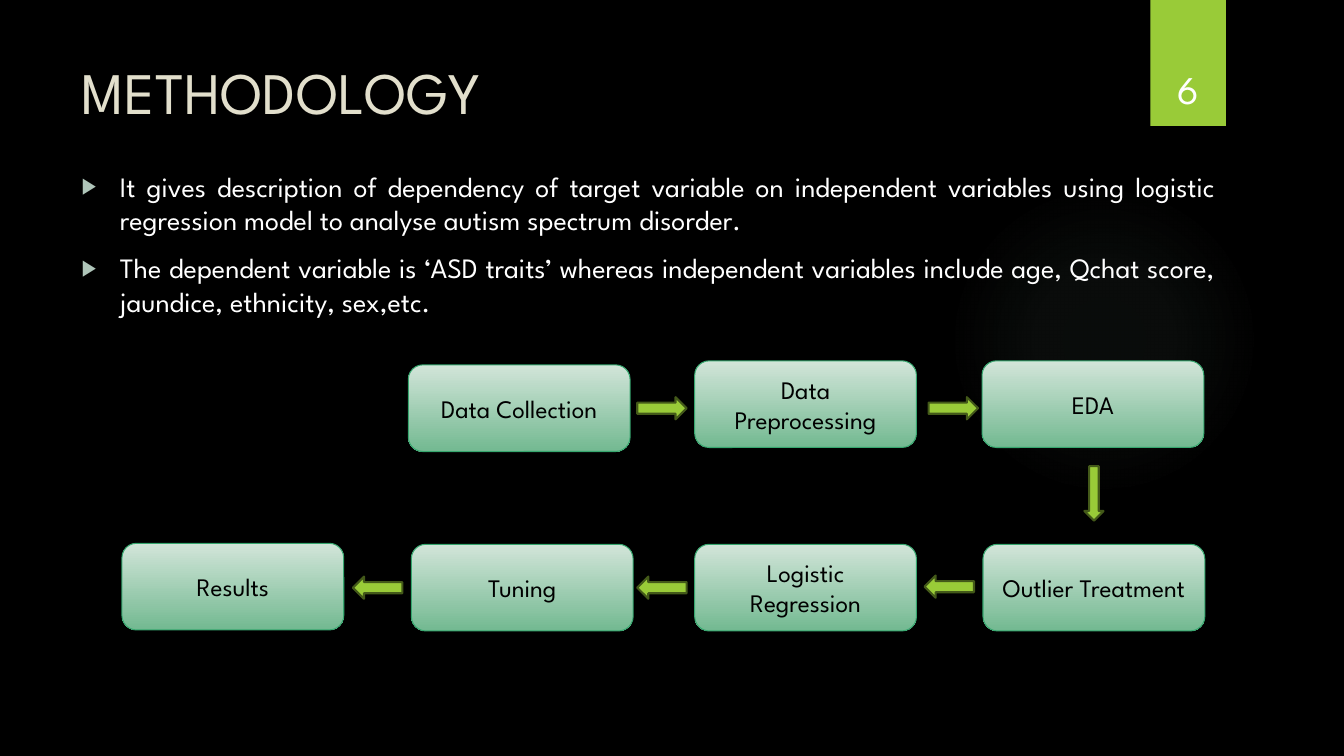
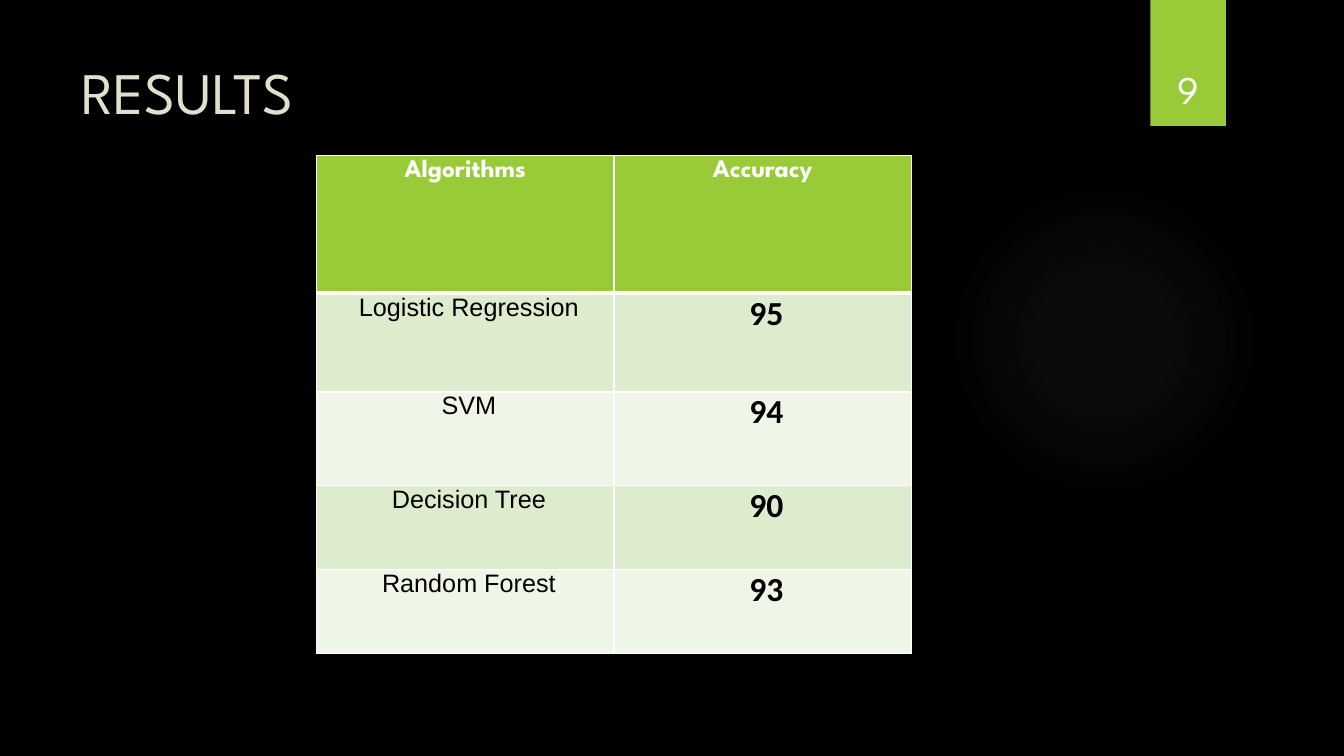
from lxml import etree
from pptx import Presentation
from pptx import util as u
from pptx.dml.color import RGBColor
from pptx.enum import shapes, text
from pptx.oxml import parse_xml
from pptx.oxml.ns import nsdecls, qn

BLACK = RGBColor(0x00, 0x00, 0x00)
WHITE = RGBColor(0xFF, 0xFF, 0xFF)
LIME = RGBColor(0x99, 0xCB, 0x38)
LIME_DARK = RGBColor(0x43, 0x59, 0x19)
CREAM = RGBColor(0xE2, 0xDF, 0xCC)
SAGE = RGBColor(0x87, 0xA8, 0x96)
BULLET = RGBColor(0xAF, 0xC5, 0xB9)
STEP_TOP = RGBColor(0xD2, 0xE5, 0xD9)
STEP_BOTTOM = RGBColor(0x73, 0xB9, 0x91)
STEP_EDGE = RGBColor(0x37, 0xA7, 0x6F)
ROW_FILLS = (RGBColor(0xDE, 0xEC, 0xCE), RGBColor(0xEF, 0xF6, 0xE8))

FONT = "League Spartan"
LEFT = 0.71
STEP_SIZE = (2.2, 0.86)
ARROW_SIZE = (0.49, 0.22)

POINTS = (
    "It gives description of dependency of target variable on independent variables "
    "using logistic regression model to analyse autism spectrum disorder.",
    "The dependent variable is ‘ASD traits’ whereas independent variables include age, "
    "Qchat score, jaundice, ethnicity, sex,etc.",
)
STEPS = (
    ("Data Collection", 4.05, 3.62),
    ("Data Preprocessing", 6.89, 3.58),
    ("EDA", 9.74, 3.58),
    ("Outlier Treatment", 9.75, 5.4),
    ("Logistic Regression", 6.89, 5.4),
    ("Tuning", 4.08, 5.4),
    ("Results", 1.21, 5.39),
)
ARROWS = (
    (6.32, 3.94, ARROW_SIZE, 0),
    (9.21, 3.94, ARROW_SIZE, 0),
    (10.58, 4.8, (0.54, 0.19), 90),
    (9.17, 5.71, ARROW_SIZE, 180),
    (6.32, 5.72, ARROW_SIZE, 180),
    (3.5, 5.72, ARROW_SIZE, 180),
)
ACCURACY = (
    ("Logistic Regression", "95"),
    ("SVM", "94"),
    ("Decision Tree", "90"),
    ("Random Forest", "93"),
)
ROW_HEIGHTS = (1.37, 0.98, 0.93, 0.83, 0.83)
COLUMN_WIDTH = 2.95


def inches(*lengths):
    return [u.Inches(length) for length in lengths]


def style(paragraph, size, color, align, name=FONT, bold=False):
    paragraph.alignment = align
    font = paragraph.font
    font.name, font.size, font.bold = name, u.Pt(size), bold
    font.color.rgb = color


def place(part, left, top, width, height):
    part.left, part.top, part.width, part.height = inches(left, top, width, height)


def add_preset(slide, preset, left, top, width, height):
    part = slide.shapes.add_shape(preset, *inches(left, top, width, height))
    part.shadow.inherit = False
    part.line.fill.background()
    return part


def add_glow(slide):
    glow = add_preset(slide, shapes.MSO_SHAPE.OVAL, 9.41, 1.83, 3.08, 3.08)
    stops = "".join(
        f'<a:gs pos="{pos * 1000}"><a:srgbClr val="{SAGE}">'
        f'<a:alpha val="{alpha * 1000}"/></a:srgbClr></a:gs>'
        for pos, alpha in ((0, 7), (36, 6), (69, 0))
    )
    gradient = parse_xml(
        f'<a:gradFill {nsdecls("a")}><a:gsLst>{stops}</a:gsLst><a:path path="circle">'
        '<a:fillToRect l="50000" t="50000" r="50000" b="50000"/></a:path></a:gradFill>'
    )
    glow.element.spPr.find(qn("a:prstGeom")).addnext(gradient)
    return glow


def add_number_band(slide):
    band = add_preset(slide, shapes.MSO_SHAPE.RECTANGLE, 11.41, 0, 0.75, 1.25)
    band.fill.solid()
    band.fill.fore_color.rgb = LIME
    shadow = parse_xml(
        f'<a:outerShdw {nsdecls("a")} blurRad="{u.Pt(3)}" dist="{u.Pt(2)}" dir="5400000">'
        f'<a:srgbClr val="{BLACK}"><a:alpha val="45000"/></a:srgbClr></a:outerShdw>'
    )
    band.element.spPr.find(qn("a:effectLst")).append(shadow)
    return band


def decorate_master(master, slide):
    master.background.fill.solid()
    master.background.fill.fore_color.rgb = BLACK
    for offset, part in enumerate((add_glow(slide), add_number_band(slide))):
        part.element.nvSpPr.cNvPr.set("id", str(100 + offset))
        master.shapes.element.insert(2 + offset, part.element)


def add_title(slide, words, height):
    title = slide.shapes.title
    place(title, LEFT, 0.5, 10.29, height)
    frame = title.text_frame
    frame.text = words
    frame.vertical_anchor = text.MSO_ANCHOR.TOP
    frame.auto_size = text.MSO_AUTO_SIZE.NONE
    style(frame.paragraphs[0], 42, CREAM, text.PP_ALIGN.LEFT)


def add_number(slide, number):
    frame = slide.shapes.add_textbox(*inches(11.32, 0.32, 0.92, 0.84)).text_frame
    frame.word_wrap = True
    frame.vertical_anchor = text.MSO_ANCHOR.BOTTOM
    frame.text = str(number)
    style(frame.paragraphs[0], 28, WHITE, text.PP_ALIGN.CENTER)


def add_bullet(paragraph):
    properties = paragraph._p.get_or_add_pPr()
    indent = u.Inches(0.38)
    properties.set("marL", str(indent))
    properties.set("indent", str(-indent))
    color = etree.Element(qn("a:buClr"))
    etree.SubElement(color, qn("a:srgbClr"), val=str(BULLET))
    marks = (
        color,
        etree.Element(qn("a:buSzPct"), val="80000"),
        etree.Element(qn("a:buFont"), typeface="Arial"),
        etree.Element(qn("a:buChar"), char="▶"),
    )
    properties.find(qn("a:spcBef")).addnext(marks[0])
    for previous, mark in zip(marks, marks[1:]):
        previous.addnext(mark)


def add_points(slide, points):
    body = slide.placeholders[1]
    place(body, LEFT, 1.63, 11.45, 1.62)
    frame = body.text_frame
    frame.text = "\n".join(points)
    frame.vertical_anchor = text.MSO_ANCHOR.TOP
    frame.auto_size = text.MSO_AUTO_SIZE.NONE
    for paragraph in frame.paragraphs:
        style(paragraph, 20, WHITE, text.PP_ALIGN.JUSTIFY)
        paragraph.space_before = u.Pt(10)
        add_bullet(paragraph)


def add_step(slide, words, left, top):
    step = add_preset(slide, shapes.MSO_SHAPE.ROUNDED_RECTANGLE, left, top, *STEP_SIZE)
    step.fill.gradient()
    step.fill.gradient_angle = 270
    for stop, color, position in zip(
        step.fill.gradient_stops, (STEP_TOP, STEP_BOTTOM), (0, 1)
    ):
        stop.color.rgb = color
        stop.position = position
    step.line.color.rgb = STEP_EDGE
    step.line.width = u.Pt(0.75)
    frame = step.text_frame
    frame.text = words
    frame.vertical_anchor = text.MSO_ANCHOR.MIDDLE
    style(frame.paragraphs[0], 18, BLACK, text.PP_ALIGN.CENTER)


def add_arrow(slide, left, top, size, rotation):
    arrow = add_preset(slide, shapes.MSO_SHAPE.RIGHT_ARROW, left, top, *size)
    arrow.rotation = rotation
    arrow.fill.solid()
    arrow.fill.fore_color.rgb = LIME
    arrow.line.color.rgb = LIME_DARK
    arrow.line.width = u.Pt(1.5)


def set_borders(cell, top=1, bottom=1):
    properties = cell._tc.get_or_add_tcPr()
    widths = (("lnL", 1), ("lnR", 1), ("lnT", top), ("lnB", bottom))
    for index, (side, width) in enumerate(widths):
        border = etree.Element(qn(f"a:{side}"), w=str(u.Pt(width)))
        fill = etree.SubElement(border, qn("a:solidFill"))
        etree.SubElement(fill, qn("a:srgbClr"), val=str(WHITE))
        properties.insert(index, border)


def fill_cell(cell, words, fill, size, color, name, bold):
    cell.text = words
    cell.fill.solid()
    cell.fill.fore_color.rgb = fill
    style(cell.text_frame.paragraphs[0], size, color, text.PP_ALIGN.CENTER, name, bold)


def add_header_cell(cell, words):
    fill_cell(cell, words, LIME, 18, WHITE, FONT, True)
    set_borders(cell, bottom=3)


def add_value_cell(cell, words, row, is_score):
    size, name = (24, "Calibri") if is_score else (18, "Arial")
    fill_cell(cell, words, ROW_FILLS[(row - 1) % 2], size, BLACK, name, is_score)
    cell.margin_left = cell.margin_right = u.Inches(0.07)
    cell.margin_top = cell.margin_bottom = 0
    properties = cell.text_frame.paragraphs[0]._p.get_or_add_pPr()
    properties.set("marL", str(u.Inches(0.07)))
    properties.set("indent", "0")
    set_borders(cell, top=3 if row == 1 else 1)


def add_accuracy_table(slide):
    frame = slide.shapes.add_table(
        len(ROW_HEIGHTS), 2, *inches(3.14, 1.54, 2 * COLUMN_WIDTH, sum(ROW_HEIGHTS))
    )
    table = frame.table
    table.horz_banding = False
    for column in table.columns:
        column.width = u.Inches(COLUMN_WIDTH)
    for row, height in zip(table.rows, ROW_HEIGHTS):
        row.height = u.Inches(height)
    for column, heading in enumerate(("Algorithms", "Accuracy")):
        add_header_cell(table.cell(0, column), heading)
    for row, values in enumerate(ACCURACY, 1):
        for column, value in enumerate(values):
            add_value_cell(table.cell(row, column), value, row, column == 1)


def main():
    deck = Presentation()
    deck.slide_width, deck.slide_height = inches(13.33, 7.5)

    methodology = deck.slides.add_slide(deck.slide_layouts[1])
    decorate_master(deck.slide_master, methodology)
    add_title(methodology, "METHODOLOGY", 0.9)
    add_points(methodology, POINTS)
    for step in STEPS:
        add_step(methodology, *step)
    for arrow in ARROWS:
        add_arrow(methodology, *arrow)
    add_number(methodology, 6)

    results = deck.slides.add_slide(deck.slide_layouts[5])
    add_title(results, "RESULTS", 1.53)
    add_number(results, 9)
    add_accuracy_table(results)

    deck.save("out.pptx")


if __name__ == "__main__":
    main()
